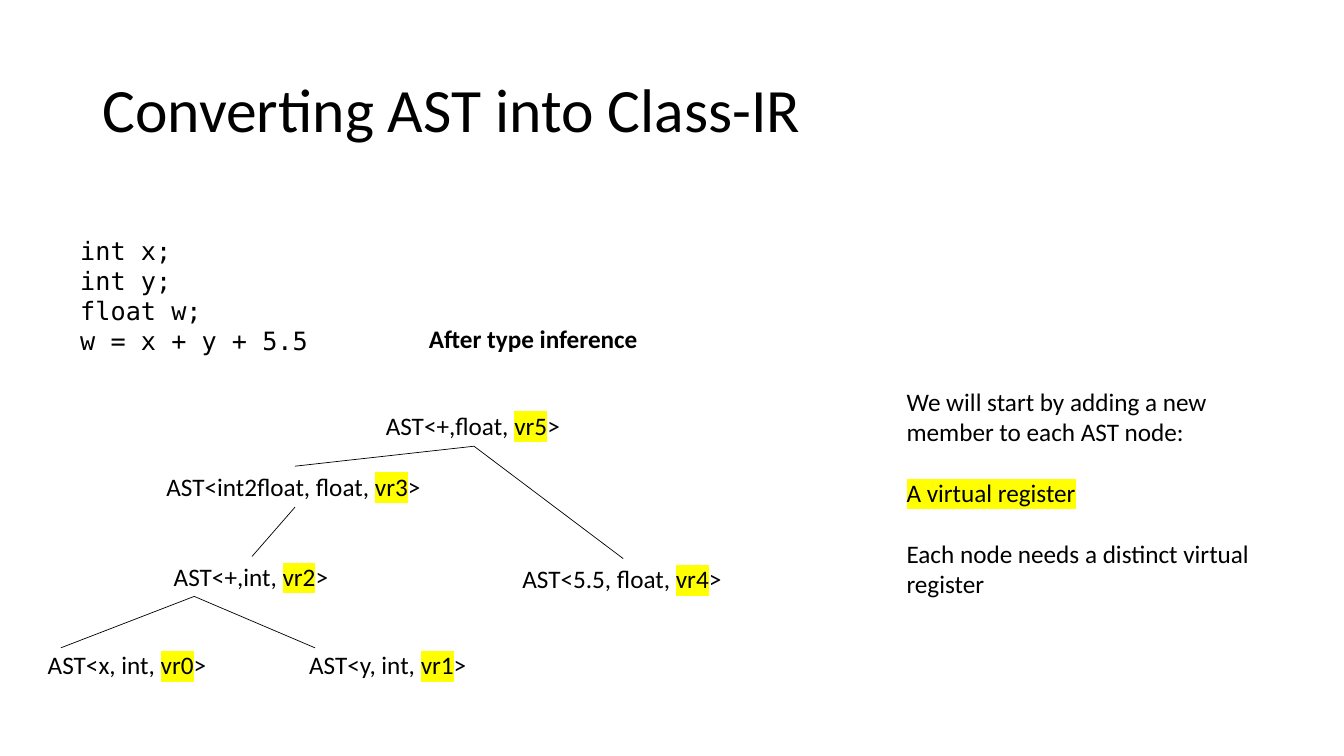
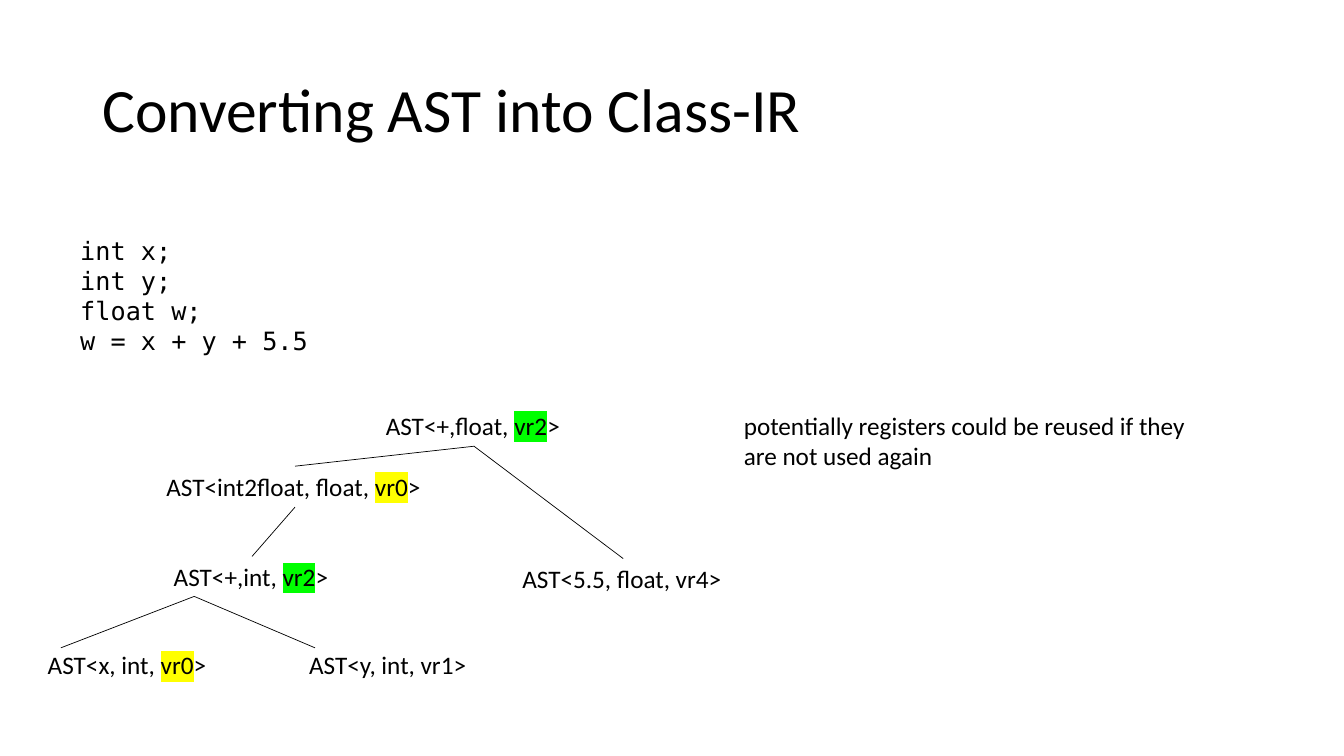
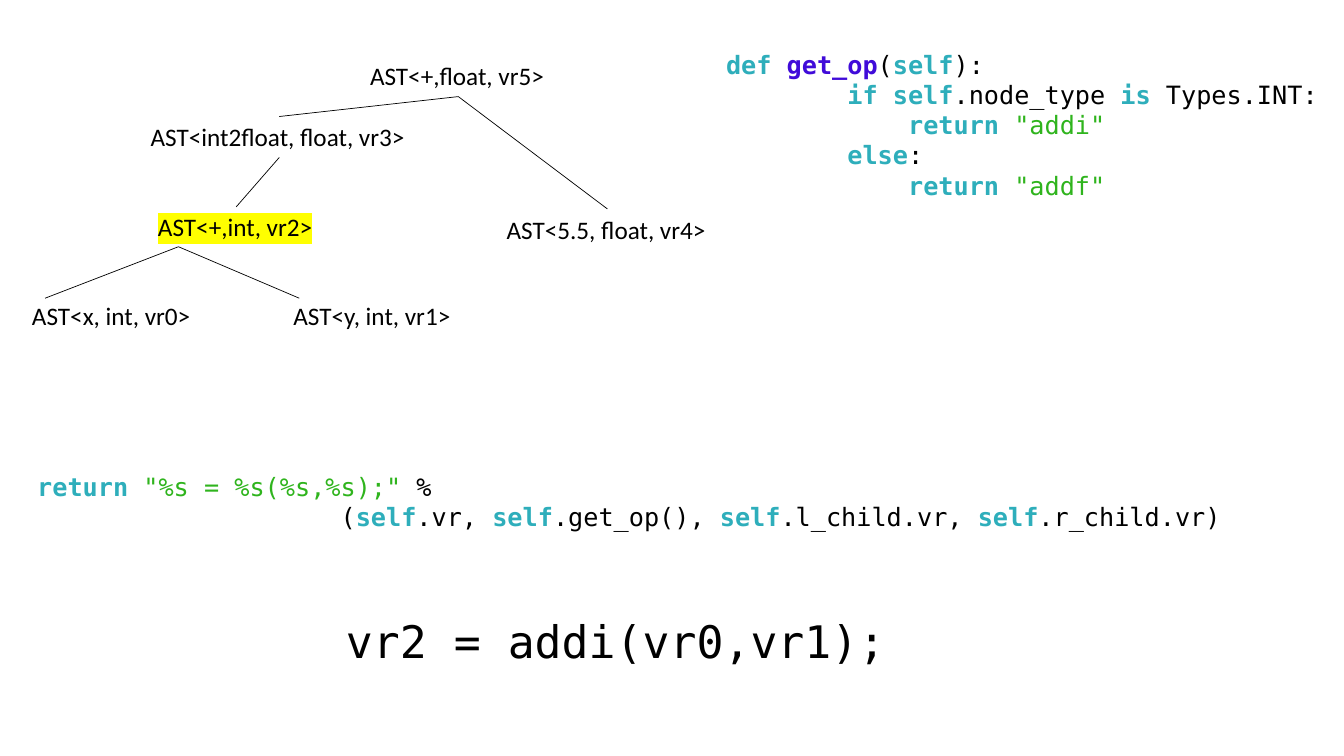
"""Build three slides on turning an AST into class-based IR with virtual registers."""
from lxml.etree import SubElement
from pptx import Presentation
from pptx.dml.color import RGBColor
from pptx.enum.shapes import MSO_CONNECTOR
from pptx.enum.text import MSO_ANCHOR, MSO_AUTO_SIZE, PP_ALIGN
from pptx.oxml.ns import qn
from pptx.util import Pt

PX = 9525
BLACK = "000000"
TEXT_FONT = "Calibri"
CODE_FONT = "DejaVu Sans Mono"
TOP, BOTTOM = 0, 2

# style name: (colour, bold, highlight)
STYLES = {
    "plain": (None, None, None),
    "bold": (None, True, None),
    "keyword": ("2EAEBB", True, None),
    "function": ("400BD9", True, None),
    "string": ("2FB41D", None, None),
    "yellow": (None, None, "FFFF00"),
    "green": (None, None, "00FF00"),
}

# node name: (left, top, width, label before the register)
NODES = {
    "float_sum": (358, 386, 187, "AST<+,float, "),
    "cast": (149, 444, 264, "AST<int2float, float, "),
    "constant": (488, 532, 211, "AST<5.5, float, "),
    "int_sum": (156, 530, 168, "AST<+,int, "),
    "x": (36, 614, 172, "AST<x, int, "),
    "y": (285, 614, 171, "AST<y, int, "),
}
NODE_HEIGHT = 39
EDGES = [("float_sum", "cast"), ("float_sum", "constant"), ("cast", "int_sum")]
LEAF_FORK = (185, 568)
LEAF_ENDS = [(58, 617), (300, 617)]


def add_text(slide, box, paragraphs, font_name=TEXT_FONT, size=18, wrap=False, gap=0):
    shape = slide.shapes.add_textbox(*(value * PX for value in box))
    frame = shape.text_frame
    frame.word_wrap = wrap
    frame.auto_size = MSO_AUTO_SIZE.SHAPE_TO_FIT_TEXT
    for index, runs in enumerate(paragraphs):
        paragraph = frame.add_paragraph() if index else frame.paragraphs[0]
        if index and gap:
            paragraph.space_before = Pt(gap)
        paragraph.font.name = font_name
        paragraph.font.size = Pt(size)
        paragraph.font.color.rgb = RGBColor.from_string(BLACK)
        for text, style in runs:
            color, bold, highlight = STYLES[style]
            run = paragraph.add_run()
            run.text = text
            run.font.bold = bold
            if color:
                run.font.color.rgb = RGBColor.from_string(color)
            if highlight:
                element = SubElement(run._r.get_or_add_rPr(), qn("a:highlight"))
                SubElement(element, qn("a:srgbClr")).set("val", highlight)
    return shape


def add_tree(slide, registers, shift_x=0, shift_y=0, whole_node=None):
    boxes = {}
    for name, (left, top, width, prefix) in NODES.items():
        register, style = registers[name]
        if style == "plain" or name == whole_node:
            runs = [(f"{prefix}{register}>", style)]
        else:
            runs = [(prefix, "plain"), (register, style), (">", "plain")]
        box = (left + shift_x, top + shift_y, width, NODE_HEIGHT)
        boxes[name] = add_text(slide, box, [runs])
    connectors = []
    for parent, child in EDGES:
        connector = slide.shapes.add_connector(MSO_CONNECTOR.STRAIGHT, 0, 0, 0, 0)
        connector.begin_connect(boxes[parent], BOTTOM)
        connector.end_connect(boxes[child], TOP)
        connectors.append(connector)
    fork_x, fork_y = LEAF_FORK
    for end_x, end_y in LEAF_ENDS:
        connectors.append(slide.shapes.add_connector(
            MSO_CONNECTOR.STRAIGHT,
            (fork_x + shift_x) * PX, (fork_y + shift_y) * PX,
            (end_x + shift_x) * PX, (end_y + shift_y) * PX))
    for connector in connectors:
        connector.line.color.rgb = RGBColor.from_string(BLACK)
        connector.line.width = Pt(0.5)
        SubElement(connector._element.spPr, qn("a:effectLst"))


presentation = Presentation()
presentation.slide_width = 1280 * PX
presentation.slide_height = 720 * PX
title_layout = presentation.slide_layouts[5]
blank_layout = presentation.slide_layouts[6]

distinct_slide = presentation.slides.add_slide(title_layout)
reuse_slide = presentation.slides.add_slide(title_layout)
source_lines = ["int x;", "int y;", "float w;", "w = x + y + 5.5"]
for slide in (distinct_slide, reuse_slide):
    title = slide.shapes.title
    title.left, title.top, title.width, title.height = (
        value * PX for value in (88, 38, 1104, 139))
    title.text_frame.text = "Converting AST into Class-IR"
    title.text_frame.vertical_anchor = MSO_ANCHOR.MIDDLE
    title.text_frame.auto_size = MSO_AUTO_SIZE.NONE
    paragraph = title.text_frame.paragraphs[0]
    paragraph.alignment = PP_ALIGN.LEFT
    paragraph.line_spacing = 0.9
    paragraph.font.name = TEXT_FONT
    paragraph.font.size = Pt(44)
    paragraph.font.color.rgb = RGBColor.from_string(BLACK)
    add_text(slide, (67, 219, 236, 126),
             [[(line, "plain")] for line in source_lines], CODE_FONT)

distinct_registers = {
    "float_sum": "vr5", "cast": "vr3", "constant": "vr4",
    "int_sum": "vr2", "x": "vr0", "y": "vr1",
}
add_tree(distinct_slide,
         {name: (register, "yellow") for name, register in distinct_registers.items()})
add_text(distinct_slide, (399, 303, 221, 39), [[("After type inference", "bold")]])
add_text(distinct_slide, (854, 363, 350, 213), [
    [("We will start by adding a new member to each AST node:", "plain")],
    [("A virtual register", "yellow")],
    [("Each node needs a distinct virtual register", "plain")],
], wrap=True, gap=22)

add_tree(reuse_slide, {
    "float_sum": ("vr2", "green"), "cast": ("vr0", "yellow"),
    "constant": ("vr4", "plain"), "int_sum": ("vr2", "green"),
    "x": ("vr0", "yellow"), "y": ("vr1", "plain"),
})
add_text(reuse_slide, (699, 386, 445, 68), [
    [("potentially registers could be reused if they are not used again", "plain")],
], wrap=True)

code_slide = presentation.slides.add_slide(blank_layout)
code_registers = {name: (register, "plain") for name, register in distinct_registers.items()}
code_registers["int_sum"] = ("vr2", "yellow")
add_tree(code_slide, code_registers, -15, -333, whole_node="int_sum")
add_text(code_slide, (682, 42, 640, 155), [
    [("def ", "keyword"), ("get_op", "function"), ("(", "plain"),
     ("self", "keyword"), ("):", "plain")],
    [("        ", "plain"), ("if self", "keyword"), (".node_type ", "plain"),
     ("is ", "keyword"), ("Types.INT:", "plain")],
    [("            ", "plain"), ("return ", "keyword"), ('"addi"', "string")],
    [("        ", "plain"), ("else", "keyword"), (":", "plain")],
    [("            ", "plain"), ("return ", "keyword"), ('"addf"', "string")],
], CODE_FONT, wrap=True)
add_text(code_slide, (26, 444, 1296, 68), [
    [("return ", "keyword"), ('"%s = %s(%s,%s);"', "string"), (" %", "plain")],
    [("                    (", "plain"), ("self", "keyword"), (".vr, ", "plain"),
     ("self", "keyword"), (".get_op(), ", "plain"),
     ("self", "keyword"), (".l_child.vr, ", "plain"),
     ("self", "keyword"), (".r_child.vr)", "plain")],
], CODE_FONT, wrap=True)
add_text(code_slide, (320, 580, 538, 61), [[("vr2 = addi(vr0,vr1);", "plain")]],
         CODE_FONT, size=32)

presentation.save("out.pptx")
